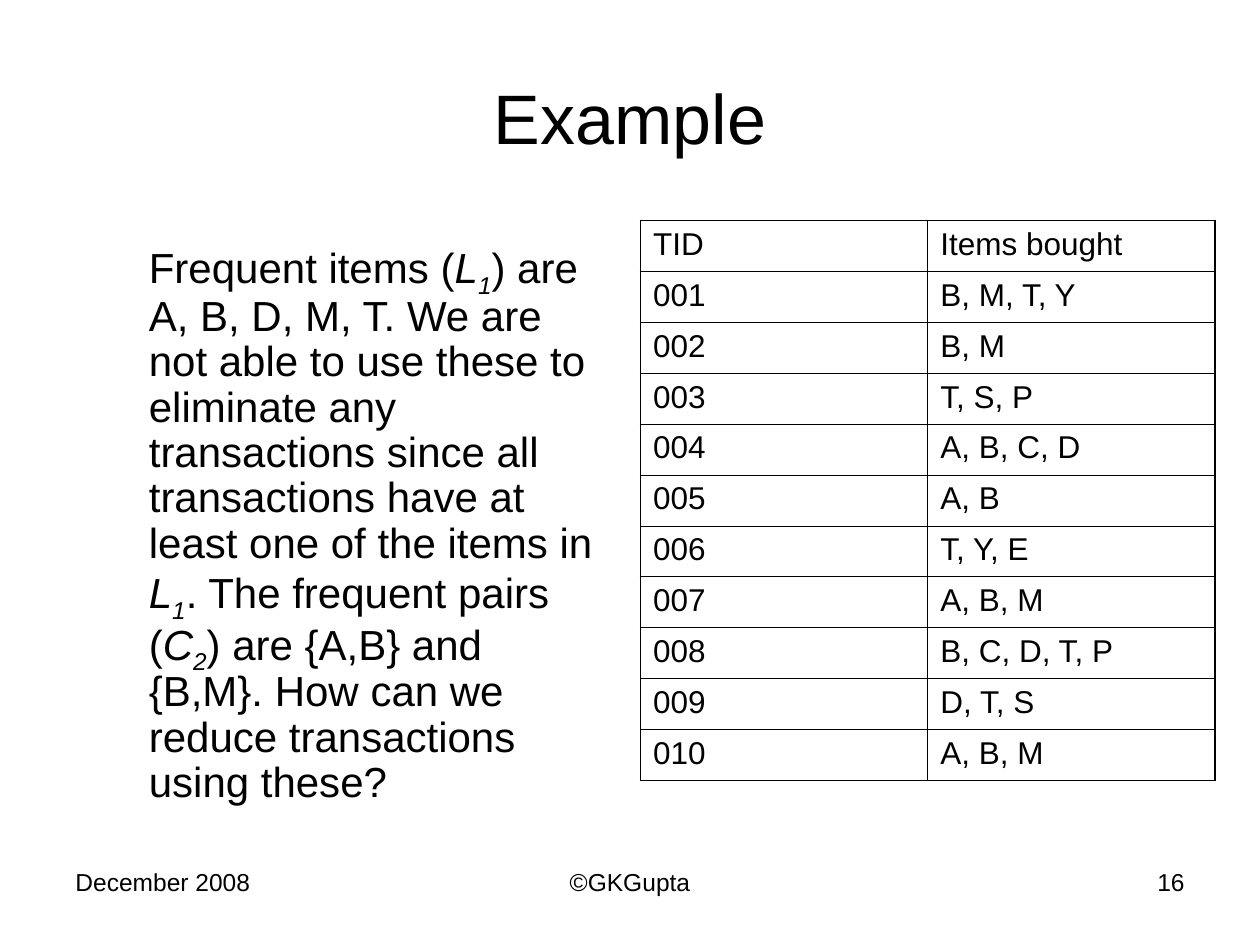
import pptx
import pptx.util
import pptx.dml.color
import pptx.enum.text
from dataclasses import dataclass
from lxml import etree
from pptx.util import Pt

ALIGN = pptx.enum.text.PP_ALIGN


@dataclass(frozen=True)
class Theme:
    font: str = "Arial"
    ink: str = "000000"
    title: float = 40
    lead: float = 28
    body: float = 24
    cell: float = 18
    foot: float = 14
    thick: float = 1.08
    thin: float = 0.45


THEME = Theme()

TEXT = [
    ("Frequent items (", ""), ("L", "i"), ("1", "sub"),
    (") are A, B, D, M, T. We are not able to use these to eliminate any "
     "transactions since all transactions have at least one of the items in ", ""),
    ("L", "i"), ("1", "sub"), (". The frequent pairs (", ""),
    ("C", "i"), ("2", "sub"),
    (") are {A,B} and {B,M}. How can we reduce transactions using these?", ""),
]

ITEMS = ["B, M, T, Y", "B, M", "T, S, P", "A, B, C, D", "A, B", "T, Y, E",
         "A, B, M", "B, C, D, T, P", "D, T, S", "A, B, M"]
ROWS = [("TID", "Items bought")]
ROWS += [(f"{num:03d}", item) for num, item in enumerate(ITEMS, 1)]


def add_run(para, text, size, style=""):
    run = para.add_run()
    run.text = text
    font = run.font
    font.name = THEME.font
    font.size = Pt(size)
    font.color.rgb = pptx.dml.color.RGBColor.from_string(THEME.ink)
    if style:
        font.italic = True
    if style == "sub":
        font._element.set("baseline", "-25000")


def add_box(slide, box):
    frame = slide.shapes.add_textbox(*map(Pt, box)).text_frame
    frame.word_wrap = True
    return frame


def add_title(slide, box, text):
    shape = slide.shapes.title
    shape.left, shape.top, shape.width, shape.height = map(Pt, box)
    frame = shape.text_frame
    frame.vertical_anchor = pptx.enum.text.MSO_ANCHOR.MIDDLE
    para = frame.paragraphs[0]
    para.alignment = ALIGN.CENTER
    add_run(para, text, THEME.title)


def add_body(slide, box, parts):
    frame = add_box(slide, box)
    frame.margin_top = Pt(9.6)
    para = frame.paragraphs[0]
    para.line_spacing = 0.9
    props = para._p.get_or_add_pPr()
    props.set("marL", str(Pt(42)))
    props.set("indent", str(Pt(-42)))
    add_run(para, "\t", THEME.lead)
    for text, style in parts:
        add_run(para, text, THEME.body, style)


def add_edge(cell, side, width):
    space = pptx.oxml.ns.qn
    line = etree.SubElement(cell._tc.get_or_add_tcPr(), space(f"a:ln{side}"))
    line.set("w", str(Pt(width)))
    fill = etree.SubElement(line, space("a:solidFill"))
    etree.SubElement(fill, space("a:srgbClr")).set("val", THEME.ink)


def add_grid(slide, box, rows):
    count, wide = len(rows), len(rows[0])
    table = slide.shapes.add_table(count, wide, *map(Pt, box)).table
    table.first_row = table.horz_banding = False
    for col in table.columns:
        col.width = Pt(box[2] / wide)
    for row in table.rows:
        row.height = Pt(box[3] / count)
    for r, row in enumerate(rows):
        for c, text in enumerate(row):
            cell = table.cell(r, c)
            outer = {"L": c == 0, "R": c == wide - 1,
                     "T": r == 0, "B": r == count - 1}
            for side, edge in outer.items():
                add_edge(cell, side, THEME.thick if edge else THEME.thin)
            cell.fill.background()
            add_run(cell.text_frame.paragraphs[0], text, THEME.cell)


def add_foot(slide, box, parts):
    left, top, width, height = box
    for text, align, start, span in parts:
        frame = add_box(slide, (left + start, top, span, height))
        para = frame.paragraphs[0]
        para.alignment = align
        add_run(para, text, THEME.foot)


def main():
    deck = pptx.Presentation()
    deck.slide_width, deck.slide_height = Pt(720), Pt(540)
    slide = deck.slides.add_slide(deck.slide_layouts[5])
    add_title(slide, (36, 21.6, 648, 90), "Example")
    add_body(slide, (36, 126, 318, 356.4), TEXT)
    add_grid(slide, (366, 126, 328.4, 320), ROWS)
    add_foot(slide, (36, 492, 648, 37.5), [
        ("December 2008", ALIGN.LEFT, 0, 168),
        ("©GKGupta", ALIGN.CENTER, 210, 228),
        ("16", ALIGN.RIGHT, 480, 168),
    ])
    deck.save("out.pptx")


if __name__ == "__main__":
    main()
